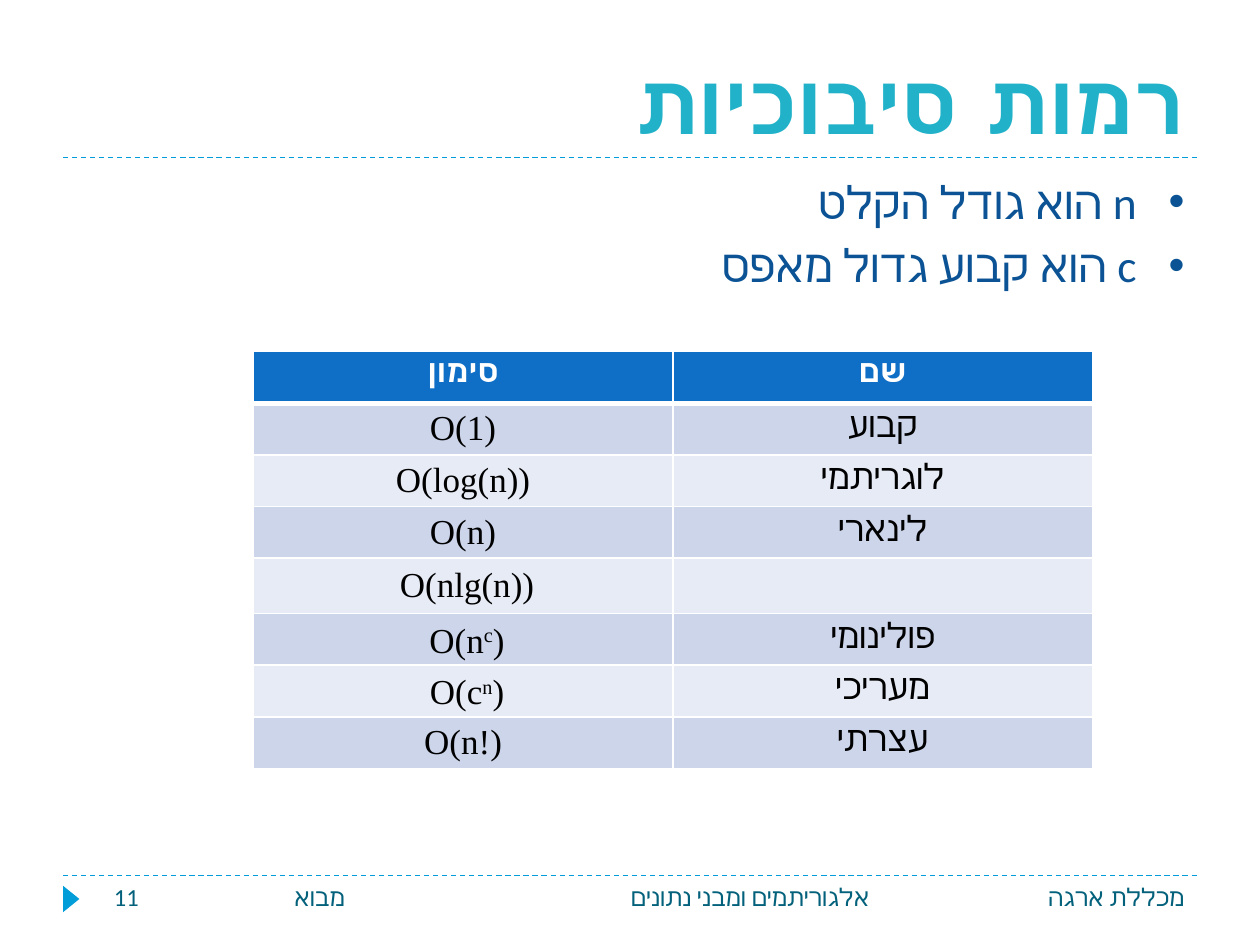
import pptx
import pptx.util
import pptx.dml.color
import pptx.enum.dml
import pptx.enum.shapes
import pptx.enum.text
import pptx.oxml.ns
import lxml.etree

ALIGN = pptx.enum.text.PP_ALIGN
ANCHOR = pptx.enum.text.MSO_ANCHOR
COLUMNS, ROWS = 20, 15  # grid laid over the slide
WHITE, BLACK = "FFFFFF", "000000"


def color(hex_text):
    return pptx.dml.color.RGBColor.from_string(hex_text)


def sub(parent, tag, **attributes):
    return lxml.etree.SubElement(parent, pptx.oxml.ns.qn(tag), attributes)


def write(paragraph, text, size=14, font="Calibri", hebrew="Calibri", ink="04617B",
          bold=False, align=ALIGN.RIGHT, rtl=False, baseline=None):
    """Add one run with its format to the paragraph."""
    paragraph.alignment = align
    if rtl:
        paragraph._p.get_or_add_pPr().set("rtl", "1")
    run = paragraph.add_run()
    run.text = text
    run.font.size = pptx.util.Pt(size)
    run.font.name = font
    run.font.bold = bold
    run.font.color.rgb = color(ink)
    properties = run._r.get_or_add_rPr()
    sub(properties, "a:cs", typeface=hebrew)
    if baseline:
        properties.set("baseline", str(baseline))


class Deck:
    accent = "009DD9"
    header_fill = "0F6FC6"
    bands = ("CCD5EA", "E7EBF5")
    top_margins = (0.05, 0.01)  # notation, name: Hebrew lines are taller

    def __init__(self):
        self.presentation = pptx.Presentation()
        self.presentation.slide_width = pptx.util.Inches(10)
        self.presentation.slide_height = pptx.util.Inches(7.5)
        self.slide = self.presentation.slides.add_slide(self.presentation.slide_layouts[5])

    def x(self, columns):
        return round(self.presentation.slide_width * columns / COLUMNS)

    def y(self, rows):
        return round(self.presentation.slide_height * rows / ROWS)

    def box(self, left, top, width, height):
        return self.x(left), self.y(top), self.x(width), self.y(height)

    def title(self, text, *place):
        title = self.slide.shapes.title
        title.left, title.top, title.width, title.height = self.box(*place)
        frame = title.text_frame
        frame.vertical_anchor = ANCHOR.BOTTOM
        frame.auto_size = pptx.enum.text.MSO_AUTO_SIZE.NONE
        write(frame.paragraphs[0], text, size=48, font="TeX Gyre Bonum",
              hebrew="TeX Gyre Bonum", ink="21B2C9", bold=True)

    def text(self, *place):
        frame = self.slide.shapes.add_textbox(*self.box(*place)).text_frame
        frame.word_wrap = True
        return frame

    def bullets(self, lines, *place):
        frame = self.text(*place)
        for index, line in enumerate(lines):
            paragraph = frame.add_paragraph() if index else frame.paragraphs[0]
            paragraph.space_before = pptx.util.Pt(5.2)
            write(paragraph, line, size=26, ink="0B5394", rtl=True)
            properties = paragraph._p.get_or_add_pPr()
            indent = pptx.util.Inches(0.38)
            properties.set("marL", str(indent))
            properties.set("indent", str(-indent))
            sub(properties, "a:buFont", typeface="Arial")
            sub(properties, "a:buChar", char="•")

    def rule(self, row):
        """Dashed line between the slide margins."""
        rule = self.slide.shapes.add_connector(
            pptx.enum.shapes.MSO_CONNECTOR.STRAIGHT,
            self.x(1), self.y(row), self.x(COLUMNS - 1), self.y(row))
        rule.line.color.rgb = color(self.accent)
        rule.line.width = pptx.util.Pt(0.75)
        rule.line.dash_style = pptx.enum.dml.MSO_LINE.DASH
        sub(rule._element.spPr, "a:effectLst")

    def marker(self, *place):
        marker = self.slide.shapes.add_shape(
            pptx.enum.shapes.MSO_SHAPE.ISOSCELES_TRIANGLE, *self.box(*place))
        marker.rotation = 90
        marker.shadow.inherit = False
        marker.fill.solid()
        marker.fill.fore_color.rgb = color(self.accent)
        marker.line.fill.background()

    def borders(self, cell, top, bottom):
        properties = cell._tc.get_or_add_tcPr()
        for side, points in (("L", 1), ("R", 1), ("T", top), ("B", bottom)):
            edge = sub(properties, f"a:ln{side}", w=str(pptx.util.Pt(points)))
            sub(sub(edge, "a:solidFill"), "a:srgbClr", val=WHITE)

    def table(self, rows, row_heights, *place):
        table = self.slide.shapes.add_table(len(rows), len(rows[0]), *self.box(*place)).table
        for row, height in zip(table.rows, row_heights):
            row.height = self.y(height)
        for r, values in enumerate(rows):
            header = r == 0
            for c, runs in enumerate(values):
                cell = table.cell(r, c)
                cell.margin_top = pptx.util.Inches(self.top_margins[1 if header else c])
                cell.margin_bottom = pptx.util.Inches(0.01)
                self.borders(cell, 3 if r == 1 else 1, 3 if header else 1)
                cell.fill.solid()
                cell.fill.fore_color.rgb = color(
                    self.header_fill if header else self.bands[(r - 1) % 2])
                # Every second run is a superscript
                for i, part in enumerate(runs):
                    write(cell.text_frame.paragraphs[0], part, size=18 if header else 20,
                          font="Times New Roman", ink=WHITE if header else BLACK,
                          bold=header, align=ALIGN.CENTER, rtl=True,
                          baseline=30000 if i % 2 else None)


def main():
    deck = Deck()

    # Frame lines and footer
    deck.rule(13.9)
    deck.rule(2.5)
    deck.marker(0.92, 14.14, 0.42, 0.26)
    for label, left, width in (("מכללת ארגה", 14, 5),
                               ("אלגוריתמים ומבני נתונים", 6.34, 7.66),
                               ("מבוא", 3, 2.67),
                               ("11", 1.34, 1.06)):
        write(deck.text(left, 13.9, width, 0.8).paragraphs[0], label)

    # Title and definitions
    deck.title("רמות סיבוכיות", 1, 0.66, 18, 1.84)
    deck.bullets(("n הוא גודל הקלט", "c הוא קבוע גדול מאפס"), 1, 2.66, 18, 10.8)

    # Complexity classes: notation and name
    complexities = (
        (["סימון"], ["שם"]),
        (["O(1)"], ["קבוע"]),
        (["O(log(n))"], ["לוגריתמי"]),
        (["O(n)"], ["לינארי"]),
        (["O(nlg(n)) "], []),
        (["O(n", "c", ") "], ["פולינומי"]),
        (["O(c", "n", ") "], ["מעריכי"]),
        (["O(n!)"], ["עצרתי"]),
    )
    heights = [0.82 if name else 0.88 for _, name in complexities]
    deck.table(complexities, heights, 4.02, 5.58, 13.32, sum(heights))

    deck.presentation.save("out.pptx")


if __name__ == "__main__":
    main()
